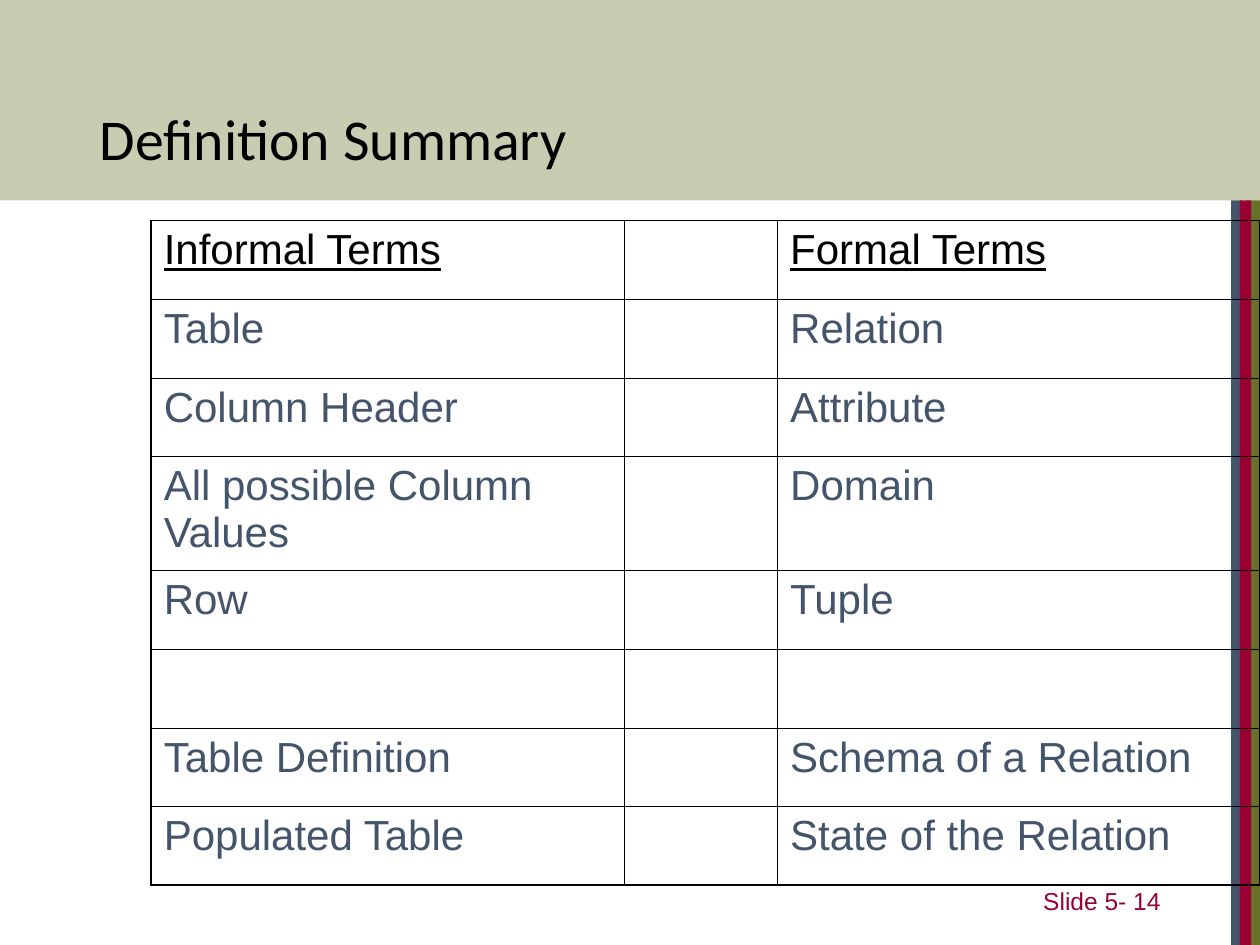
from lxml.etree import SubElement
from pptx import Presentation
from pptx.dml.color import RGBColor
from pptx.enum.shapes import MSO_SHAPE as Shape
from pptx.enum.text import MSO_ANCHOR as Anchor, PP_ALIGN as Align
from pptx.oxml.ns import qn
from pptx.util import Pt

COLORS = {"olive": "677228", "slate": "44546A", "crimson": "990033", "black": "000000"}


def add_bar(left, top, width, height, color):
    bar = slide.shapes.add_shape(Shape.RECTANGLE, Pt(left), Pt(top), Pt(width), Pt(height))
    bar.shadow.inherit = False
    bar.fill.solid()
    bar.fill.fore_color.rgb = RGBColor.from_string(COLORS[color])
    bar.line.fill.background()
    return bar


def write(paragraph, text, color, **font_format):
    run = paragraph.add_run()
    run.text = text
    run.font.color.rgb = RGBColor.from_string(COLORS[color])
    for name, value in font_format.items():
        setattr(run.font, name, value)


presentation = Presentation()
presentation.slide_width, presentation.slide_height = Pt(720), Pt(540)
slide = presentation.slides.add_slide(presentation.slide_layouts[5])

# Side stripes and translucent banner
banner_height = 114.5
for left, width, color in [(712, 8, "olive"), (703.5, 6.5, "slate"), (708.5, 6.5, "crimson")]:
    add_bar(left, banner_height, width, 540 - banner_height, color)
banner = add_bar(0, 0, 720, banner_height, "olive")
banner_color = banner.fill._xPr.find(qn("a:solidFill"))[0]
SubElement(banner_color, qn("a:alpha"), val="36000")

# Title, brought in front of the banner
title = slide.shapes.title
banner._element.getparent().append(title._element)
title.left, title.top, title.width, title.height = Pt(49.7), Pt(28.8), Pt(621.4), Pt(104.4)
title.text_frame.vertical_anchor = Anchor.MIDDLE
title_paragraph = title.text_frame.paragraphs[0]
title_paragraph.alignment = Align.LEFT
title_paragraph.line_spacing = 0.9
write(title_paragraph, "Definition Summary", "black", name="Calibri", size=Pt(33))

# Slide number
number_box = slide.shapes.add_textbox(Pt(508.3), Pt(500.4), Pt(162), Pt(28.8))
number_box.text_frame.word_wrap = True
number_box.text_frame.vertical_anchor = Anchor.MIDDLE
number_paragraph = number_box.text_frame.paragraphs[0]
number_paragraph.alignment = Align.RIGHT
write(number_paragraph, "Slide 5- 14", "crimson", name="Arial", size=Pt(14))

# Table of terms
terms = [
    ("Informal Terms", "", "Formal Terms"),
    ("Table", "", "Relation"),
    ("Column Header", "", "Attribute"),
    ("All possible Column Values", "", "Domain"),
    ("Row", "", "Tuple"),
    ("", "", ""),
    ("Table Definition", "", "Schema of a Relation"),
    ("Populated Table", "", "State of the Relation"),
]
column_widths = [270.5, 87.5, 275.5]
row_heights = [45, 45, 45, 65, 45, 45, 45, 45]
table = slide.shapes.add_table(
    len(terms), len(column_widths), Pt(86.4), Pt(126),
    Pt(sum(column_widths)), Pt(sum(row_heights))).table
table.first_row = table.horz_banding = False
for column, width in zip(table.columns, column_widths):
    column.width = Pt(width)
for row, height in zip(table.rows, row_heights):
    row.height = Pt(height)

last_row, last_column = len(terms) - 1, len(column_widths) - 1
for row_index, row_terms in enumerate(terms):
    for column_index, term in enumerate(row_terms):
        cell = table.cell(row_index, column_index)
        paragraph = cell.text_frame.paragraphs[0]
        paragraph.space_before = Pt(6)
        if term:
            header = row_index == 0
            write(paragraph, term, "black" if header else "slate",
                  name="Arial", size=Pt(24), underline=header)

        # Thick outer borders, thin inner ones; borders precede the fill in the XML
        outer_sides = {"a:lnL": column_index == 0, "a:lnR": column_index == last_column,
                       "a:lnT": row_index == 0, "a:lnB": row_index == last_row}
        properties = cell._tc.get_or_add_tcPr()
        for side, is_outer in outer_sides.items():
            border = SubElement(properties, qn(side), w=str(Pt(1.08 if is_outer else 0.45)))
            border_fill = SubElement(border, qn("a:solidFill"))
            SubElement(border_fill, qn("a:srgbClr"), val=COLORS["black"])
        cell.fill.background()

presentation.save("out.pptx")
